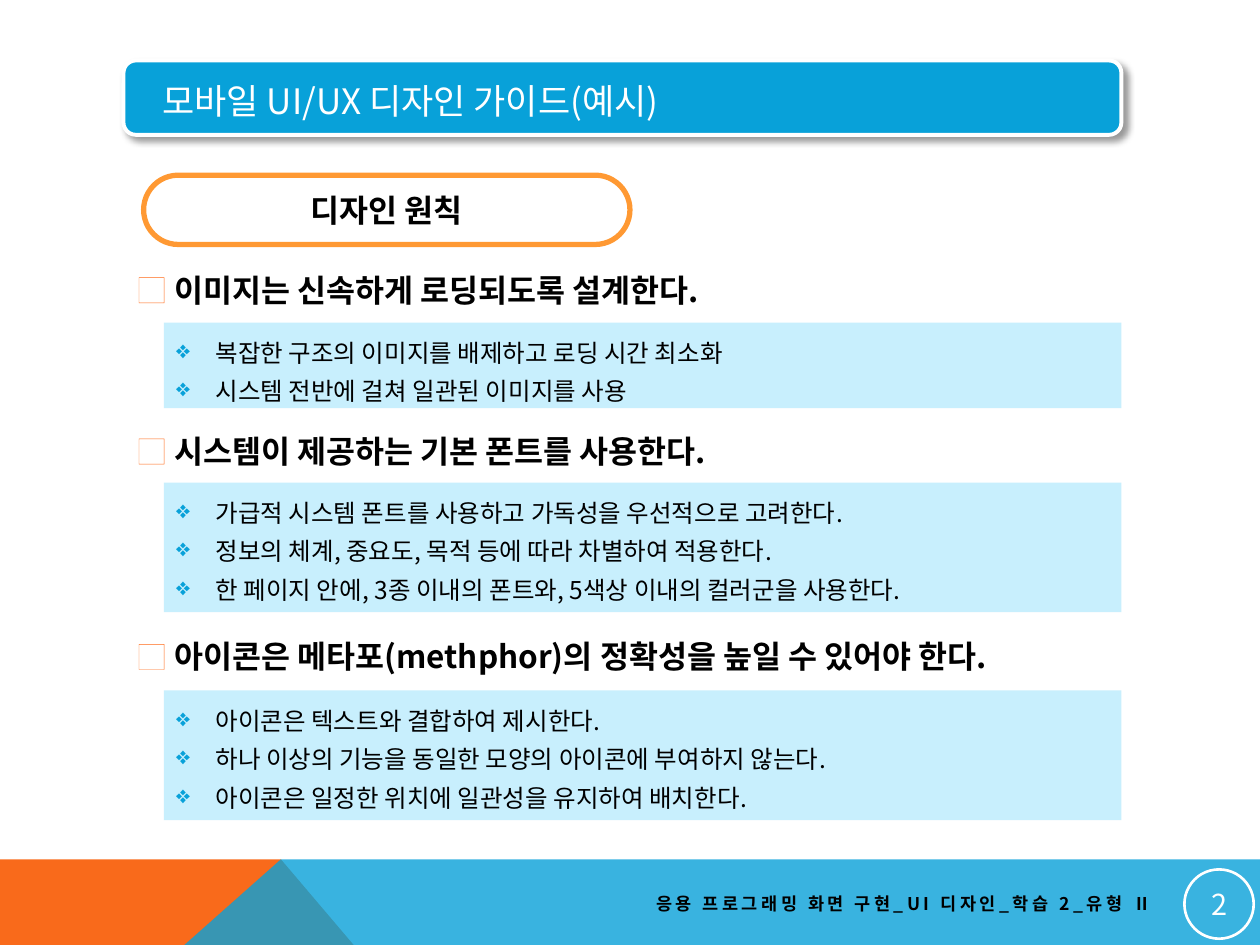
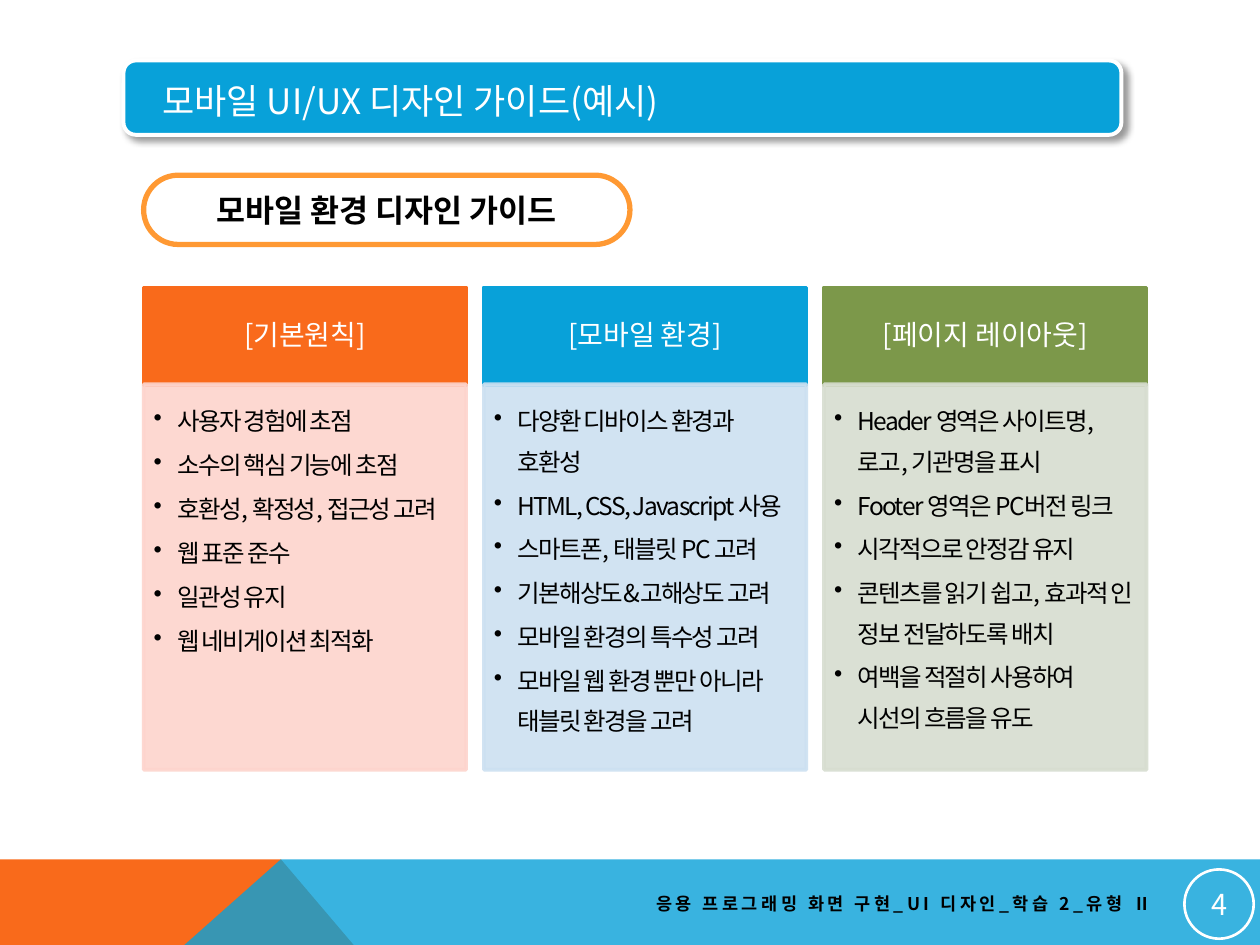
"""Builds two slides of a mobile UI/UX design guide."""
import pptx
import pptx.dml.color
import pptx.enum.shapes
import pptx.enum.text
import pptx.oxml
import pptx.oxml.ns
import pptx.util

Pt = pptx.util.Pt
qn = pptx.oxml.ns.qn
SHAPE = pptx.enum.shapes.MSO_SHAPE
ALIGN = pptx.enum.text.PP_ALIGN
ANCHOR = pptx.enum.text.MSO_ANCHOR

FONT = "Noto Sans CJK KR"
COLORS = {
    "blue": "08A1D9", "orange": "F96A1B", "green": "7C984A",
    "pale_blue": "CCE0F1", "pale_orange": "FDD4CD", "pale_green": "D7DDD0",
    "panel": "C8EFFD", "pill": "FF9933", "box": "FF6815",
    "white": "FFFFFF", "black": "000000",
}
TITLE = "모바일 UI/UX 디자인 가이드(예시)"
FOOTER = "응용 프로그래밍 화면 구현_UI 디자인_학습 2_유형 Ⅱ"
INSETS = (7.2, 3.6, 7.2, 3.6)

PRINCIPLES = [
    (151.2, 532.8, "이미지는 신속하게 로딩되도록 설계한다.", 184.32, 48.96, [
        "복잡한 구조의 이미지를 배제하고 로딩 시간 최소화",
        "시스템 전반에 걸쳐 일관된 이미지를 사용"]),
    (243.36, 532.8, "시스템이 제공하는 기본 폰트를 사용한다.", 275.76, 74.16, [
        "가급적 시스템 폰트를 사용하고 가독성을 우선적으로 고려한다.",
        "정보의 체계, 중요도, 목적 등에 따라 차별하여 적용한다.",
        "한 페이지 안에, 3종 이내의 폰트와, 5색상 이내의 컬러군을 사용한다."]),
    (360.72, 555.84, "아이콘은 메타포(methphor)의 정확성을 높일 수 있어야 한다.", 394.56, 74.16, [
        "아이콘은 텍스트와 결합하여 제시한다.",
        "하나 이상의 기능을 동일한 모양의 아이콘에 부여하지 않는다.",
        "아이콘은 일정한 위치에 일관성을 유지하여 배치한다."]),
]
GUIDES = [
    ("[기본원칙]", "orange", [
        "사용자 경험에 초점", "소수의 핵심 기능에 초점",
        "호환성, 확정성, 접근성 고려", "웹 표준 준수", "일관성 유지",
        "웹 네비게이션 최적화"]),
    ("[모바일 환경]", "blue", [
        "다양환 디바이스 환경과 호환성", "HTML, CSS, Javascript 사용",
        "스마트폰, 태블릿 PC 고려", "기본해상도&고해상도 고려",
        "모바일 환경의 특수성 고려", "모바일 웹 환경 뿐만 아니라 태블릿 환경을 고려"]),
    ("[페이지 레이아웃]", "green", [
        "Header 영역은 사이트명, 로고, 기관명을 표시", "Footer 영역은 PC버전 링크",
        "시각적으로 안정감 유지", "콘텐츠를 읽기 쉽고, 효과적 인 정보 전달하도록 배치",
        "여백을 적절히 사용하여 시선의 흐름을 유도"]),
]


def rgb(name):
    """Return the named colour."""
    return pptx.dml.color.RGBColor.from_string(COLORS[name])


def add_xml(parent, xml, index=None):
    """Insert a DrawingML fragment into parent, at the end by default."""
    head, sep, tail = xml.partition(" " if " " in xml.split(">")[0] else ">")
    element = pptx.oxml.parse_xml(head + " " + pptx.oxml.ns.nsdecls("a") + sep + tail)
    parent.insert(len(parent) if index is None else index, element)


def paint(sp, fill=None, line=None, width=1, alpha=100):
    """Set fill and line of a shape, with an opacity in percent."""
    sp.shadow.inherit = False
    if fill:
        sp.fill.solid()
        sp.fill.fore_color.rgb = rgb(fill)
    else:
        sp.fill.background()
    if line:
        sp.line.color.rgb = rgb(line)
        sp.line.width = Pt(width)
    else:
        sp.line.fill.background()
    if alpha < 100:
        for clr in sp._element.spPr.iter(qn("a:srgbClr")):
            add_xml(clr, f'<a:alpha val="{alpha * 1000}"/>')


def add_shape(slide, kind, box, fill=None, line=None, width=1, alpha=100):
    """Add a painted preset shape."""
    sp = slide.shapes.add_shape(kind, *map(Pt, box))
    paint(sp, fill, line, width, alpha)
    return sp


def style_run(r, size, color="black", bold=False, spacing=0):
    """Format one run."""
    r.font.size = Pt(size)
    r.font.bold = bold
    r.font.name = FONT
    r.font.color.rgb = rgb(color)
    rPr = r._r.get_or_add_rPr()
    add_xml(rPr, f'<a:ea typeface="{FONT}"/>')
    if spacing:
        rPr.set("spc", str(spacing * 100))


def write(sp, lines, size, color="black", bold=False, align=ALIGN.LEFT,
          anchor=ANCHOR.TOP, insets=INSETS, wrap=True, spacing=0):
    """Write paragraphs into a shape and return them."""
    tf = sp.text_frame
    tf.word_wrap = wrap
    tf.vertical_anchor = anchor
    tf.margin_left, tf.margin_top, tf.margin_right, tf.margin_bottom = map(Pt, insets)
    tf.text = "\n".join(lines)
    for p in tf.paragraphs:
        p.alignment = align
        for r in p.runs:
            style_run(r, size, color, bold, spacing)
    return tf.paragraphs


def add_bullets(paragraphs, char, indent, pitch, after=0, color="black"):
    """Give paragraphs a hanging bullet and a fixed line pitch."""
    for p in paragraphs:
        p.line_spacing = Pt(pitch)
        p.space_after = Pt(after)
        pPr = p._p.get_or_add_pPr()
        pPr.set("marL", str(Pt(indent)))
        pPr.set("indent", str(-Pt(indent)))
        add_xml(pPr, f'<a:buClr><a:srgbClr val="{COLORS[color]}"/></a:buClr>')
        add_xml(pPr, f'<a:buChar char="{char}"/>')


def add_polygon(slide, points, fill, alpha=100):
    """Add a closed outline through points."""
    fb = slide.shapes.build_freeform(Pt(points[0][0]), Pt(points[0][1]), scale=1.0)
    fb.add_line_segments([(Pt(x), Pt(y)) for x, y in points[1:]], close=True)
    paint(fb.convert_to_shape(), fill, alpha=alpha)


def add_footer(slide, number):
    """Add the bottom band, the footer text and the page number."""
    top, bottom, peak = 491.04, 540, 160.56
    add_polygon(slide, [(0, bottom), (0, top), (peak, top), (202.1, bottom)], "orange")
    add_polygon(slide, [(105.4, bottom), (peak, top), (720, top), (720, bottom)],
                "blue", 80)
    sp = slide.shapes.add_textbox(*map(Pt, (292.32, 505.44, 372.24, 21.6)))
    write(sp, [FOOTER], 10, bold=True, align=ALIGN.RIGHT, anchor=ANCHOR.MIDDLE, spacing=2)
    sp = add_shape(slide, SHAPE.OVAL, (676.8, 496.8, 39.6, 39.6), None, "white", 1.5)
    write(sp, [str(number)], 16.5, "white", align=ALIGN.CENTER, anchor=ANCHOR.MIDDLE,
          insets=(0.72,) * 4)


def add_title(slide):
    """Add the title bar with its drop shadow."""
    sp = add_shape(slide, SHAPE.ROUNDED_RECTANGLE, (70.56, 34.56, 570.24, 42.48),
                   "blue", "white", 2.25)
    add_xml(sp._element.spPr.find(qn("a:effectLst")),
            f'<a:outerShdw blurRad="{Pt(4)}" dist="{Pt(3)}" dir="2700000" algn="tl" '
            f'rotWithShape="0"><a:srgbClr val="{COLORS["black"]}">'
            '<a:alpha val="40000"/></a:srgbClr></a:outerShdw>')
    sp = slide.shapes.add_textbox(*map(Pt, (85.68, 41.76, 552.24, 30.96)))
    write(sp, [TITLE], 20, "white", anchor=ANCHOR.MIDDLE)


def add_pill(slide, text):
    """Add the outlined section label."""
    sp = add_shape(slide, SHAPE.ROUNDED_RECTANGLE, (82.08, 100.08, 277.92, 39.6),
                   "white", "pill", 3)
    sp.adjustments[0] = 0.5
    write(sp, [text], 18, bold=True, align=ALIGN.CENTER, anchor=ANCHOR.MIDDLE, wrap=False)


def add_principle(slide, top, width, heading, panel_top, panel_height, lines):
    """Add a heading with an outlined square and its bulleted panel."""
    sp = slide.shapes.add_textbox(*map(Pt, (70.56, top, width, 28.8)))
    p = write(sp, ["■"], 18, "white", bold=True)[0]
    add_xml(p.runs[0]._r.get_or_add_rPr(),
            f'<a:ln w="{Pt(1.42)}"><a:solidFill><a:srgbClr val="{COLORS["box"]}"/>'
            '</a:solidFill></a:ln>', 0)
    r = p.add_run()
    r.text = " " + heading
    style_run(r, 18, bold=True)
    sp = add_shape(slide, SHAPE.RECTANGLE, (93.6, panel_top, 547.2, panel_height), "panel")
    add_bullets(write(sp, lines, 14), "❖", 22.5, 22, color="blue")


def add_guide(slide, index, heading, color, lines):
    """Add one column with a header and a bulleted body."""
    left, width = 82.08 + 194.4 * index, 184.32
    sp = add_shape(slide, SHAPE.RECTANGLE, (left, 164.16, width, 56.16), color, color, 2)
    p = write(sp, [heading], 16, "white", align=ALIGN.CENTER, anchor=ANCHOR.MIDDLE,
              insets=(8.64, 5.04, 8.64, 5.04))[0]
    p.line_spacing = 0.9
    pale = "pale_" + color
    sp = add_shape(slide, SHAPE.RECTANGLE, (left, 219.6, width, 220.32), pale, pale, 2, 90)
    paragraphs = write(sp, lines, 14, insets=(5.76, 6.48, 5.76, 10.08), spacing=-1)
    add_bullets(paragraphs, "•", 13.5, 23, after=2.1)


def add_page(prs, number, label):
    """Add a slide with the shared footer, title and label."""
    slide = prs.slides.add_slide(prs.slide_layouts[6])
    add_footer(slide, number)
    add_title(slide)
    add_pill(slide, label)
    return slide


def main():
    """Build and save the presentation."""
    prs = pptx.Presentation()
    prs.slide_width, prs.slide_height = Pt(720), Pt(540)
    slide = add_page(prs, 2, "디자인 원칙")
    for principle in PRINCIPLES:
        add_principle(slide, *principle)
    slide = add_page(prs, 4, "모바일 환경 디자인 가이드")
    for index, guide in enumerate(GUIDES):
        add_guide(slide, index, *guide)
    prs.save("out.pptx")


main()
